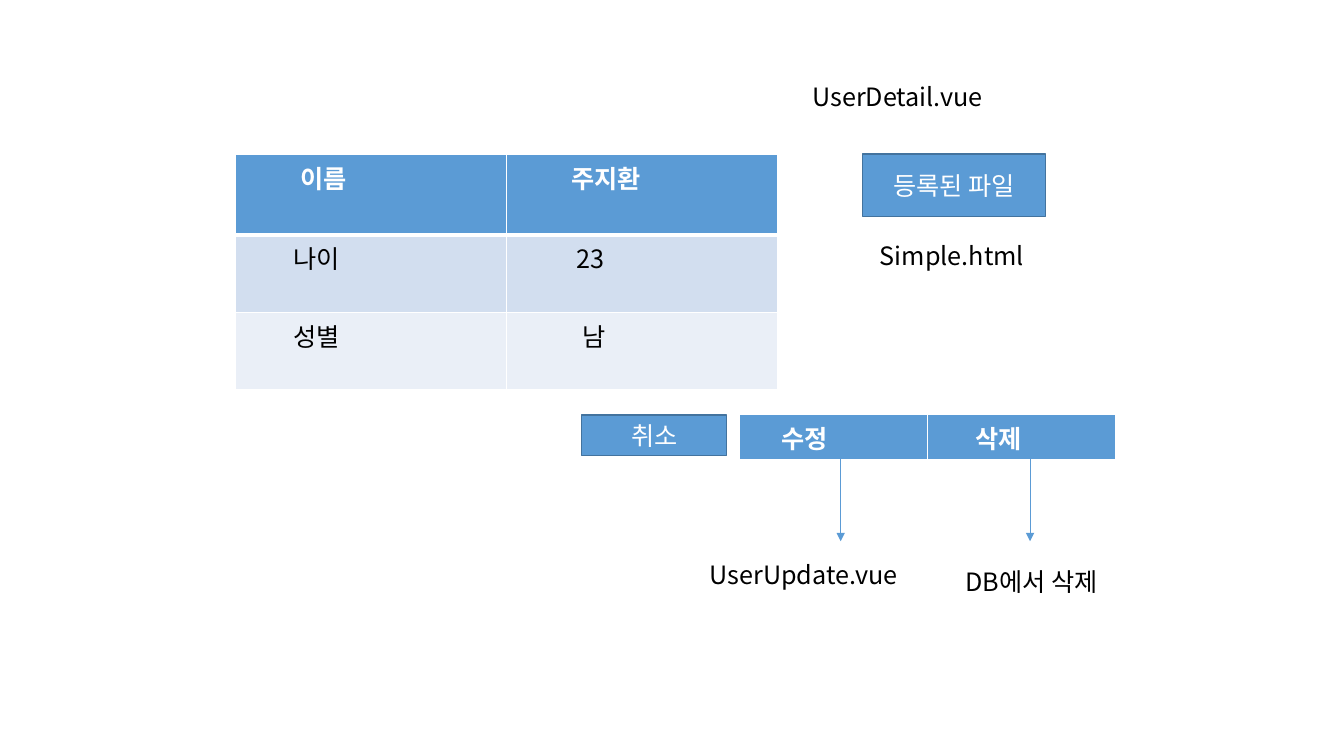
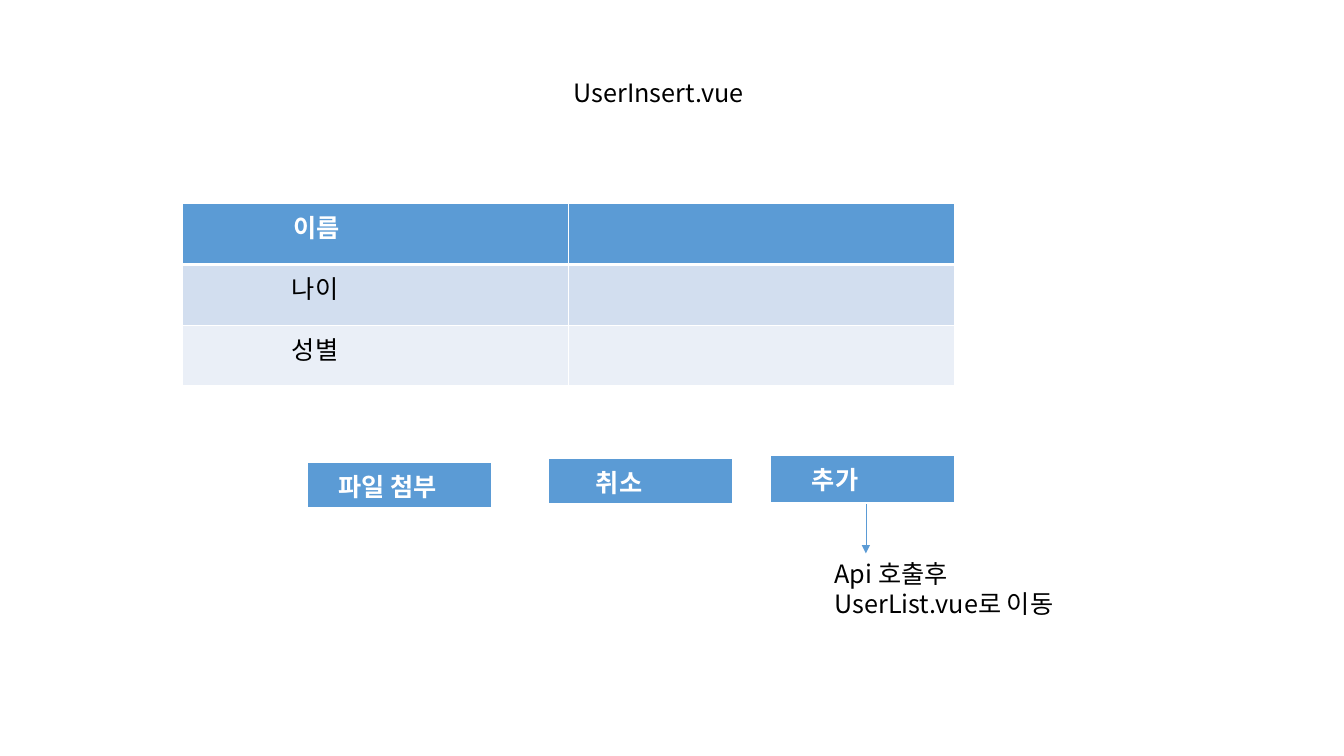
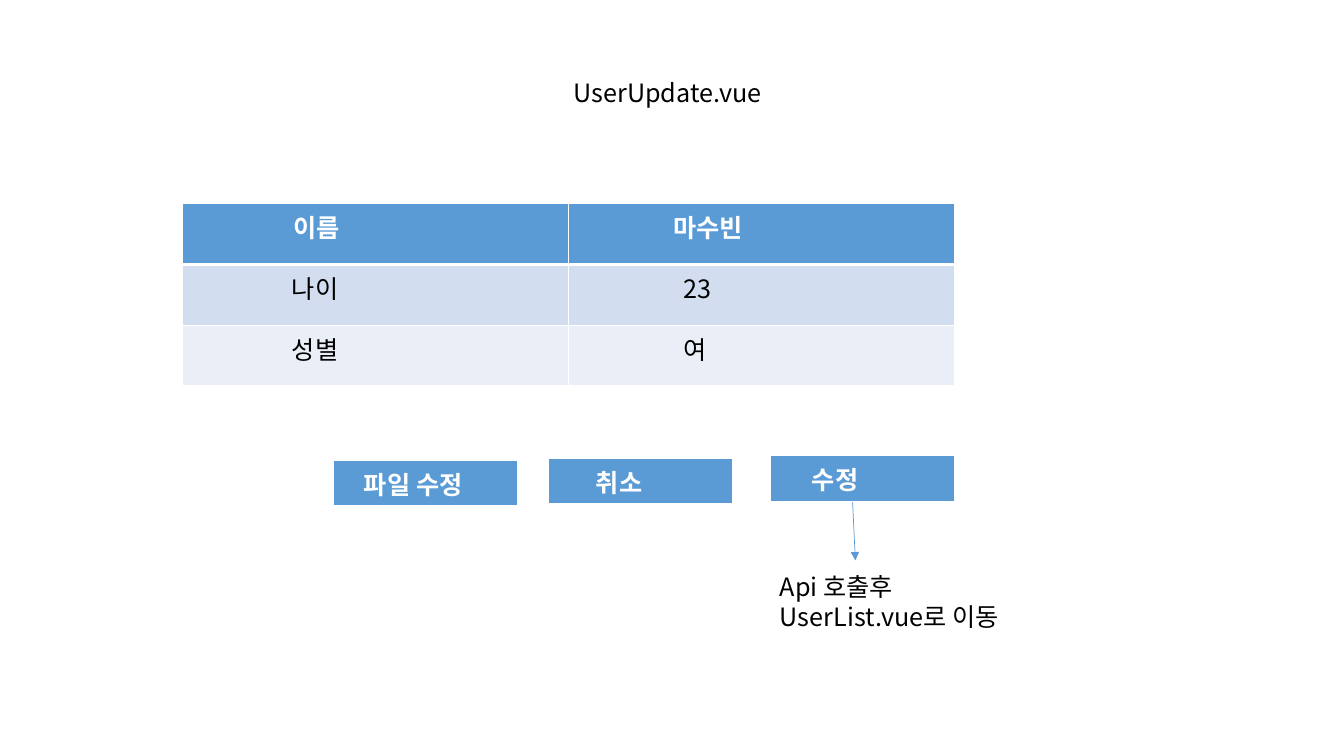
"""Build three wireframe slides for the user pages of a web app."""
from lxml.etree import SubElement as Sub
from pptx import Presentation
from pptx.dml.color import RGBColor
from pptx.enum.shapes import MSO_CONNECTOR as Link, MSO_SHAPE as Shape
from pptx.enum.text import MSO_ANCHOR as Anchor, MSO_AUTO_SIZE as Fit, PP_ALIGN as Align
from pptx.oxml.ns import qn
from pptx.util import Pt

hue = RGBColor.from_string
FONT = "Noto Sans CJK KR"
BLUE, EDGE, WHITE, BLACK = "5B9BD5", "43739E", "FFFFFF", "000000"
BANDS = [BLUE, "D2DEEF", "EAEFF7"]
MOVE = "Api 호출후 UserList.vue로 이동"
FORM = dict(at=(130.5, 145.5), wide=[275.5] * 2, high=[43.4] * 3)


def write(frame, text, color=BLACK, bold=False, align=Align.LEFT, anchor=Anchor.TOP):
    """Fill a text frame with one styled paragraph."""
    for key, val in dict(word_wrap=True, vertical_anchor=anchor).items():
        setattr(frame, key, val)
    para = frame.paragraphs[0]
    para.alignment = align
    run = para.add_run()
    run.text = text
    for key, val in dict(name=FONT, size=Pt(18), bold=bold).items():
        setattr(run.font, key, val)
    run.font.color.rgb = hue(color)
    Sub(run.font._element, qn("a:ea"), typeface=FONT)


def grid(slide, at, wide, high, rows):
    """Draw a banded table whose cells are pairs of text and left indent."""
    size = len(high), len(wide), *map(Pt, at), Pt(sum(wide)), Pt(sum(high))
    table = slide.shapes.add_table(*size).table
    table.horz_banding = False
    for col, width in zip(table.columns, wide):
        col.width = Pt(width)
    for r, (height, row) in enumerate(zip(high, rows)):
        table.rows[r].height = Pt(height)
        for c, (text, left) in enumerate(row):
            cell = table.cell(r, c)
            props = cell._tc.get_or_add_tcPr()
            thick = {"lnL": 1, "lnR": 1, "lnT": 3 if r == 1 else 1, "lnB": 1 if r else 3}
            for side, width in thick.items():
                line = Sub(props, qn("a:" + side), w=str(Pt(width)))
                Sub(Sub(line, qn("a:solidFill")), qn("a:srgbClr"), val=WHITE)
            cell.fill.solid()
            cell.fill.fore_color.rgb = hue(BANDS[r])
            cell.margin_left = Pt(left)
            if text:
                write(cell.text_frame, text, BLACK if r else WHITE, not r)


pages = [
    dict(
        title=("UserDetail.vue", 573, 54.7, 162.7),
        grids=[
            dict(at=(528, 296), wide=[134.6] * 2, high=[29.5],
                 rows=[[("수정", 30), ("삭제", 34)]]),
            dict(at=(168.5, 110), wide=[193.5] * 2, high=[57.6, 55.4, 55.4],
                 rows=[[("이름", 46), ("주지환", 46)],
                       [("나이", 41), ("23", 50)],
                       [("성별", 41), ("남", 54)]]),
        ],
        boxes=[("취소", 415.5, 296.6, 103.7, 28.8),
               ("등록된 파일", 616.3, 110, 130.5, 44.6)],
        lines=[(735.8, 325.4, 735.8, 386.6), (600.5, 325.4, 600.5, 386.6)],
        notes=[("DB에서 삭제", 682.5, 401, 162.7, 29),
               ("UserUpdate.vue", 499.7, 396, 162.7, 29),
               ("Simple.html", 621.4, 167.8, 124.6, 51)],
    ),
    dict(
        title=("UserInsert.vue", 402.5, 51.8, 299.5),
        grids=[
            dict(FORM, rows=[[("이름", 79), ("", 7.2)],
                             [("나이", 78), ("", 7.2)],
                             [("성별", 78), ("", 7.2)]]),
            dict(at=(550, 325.5), wide=[131.8], high=[34.5], rows=[[("추가", 30)]]),
            dict(at=(391.7, 327.6), wide=[131.8], high=[30], rows=[[("취소", 34)]]),
            dict(at=(219.6, 330), wide=[131.8], high=[30], rows=[[("파일 첨부", 22)]]),
        ],
        boxes=[],
        lines=[(618.5, 360, 618.5, 395.3)],
        notes=[(MOVE, 589, 395.3, 186.5, 51)],
    ),
    dict(
        title=("UserUpdate.vue", 402.5, 51.8, 299.5),
        grids=[
            dict(FORM, rows=[[("이름", 79), ("마수빈", 75)],
                             [("나이", 78), ("23", 82)],
                             [("성별", 78), ("여", 82)]]),
            dict(at=(550, 325.5), wide=[131.8], high=[33.5], rows=[[("수정", 30)]]),
            dict(at=(391.7, 327.6), wide=[131.8], high=[30], rows=[[("취소", 34)]]),
            dict(at=(238, 329), wide=[131.8], high=[30], rows=[[("파일 수정", 22)]]),
        ],
        boxes=[],
        lines=[(609, 358.6, 611, 400.3)],
        notes=[(MOVE, 550, 404.6, 186.5, 51)],
    ),
]

deck = Presentation()
deck.slide_width, deck.slide_height = Pt(960), Pt(540)
for page in pages:
    slide = deck.slides.add_slide(deck.slide_layouts[5])
    text, left, top, width = page["title"]
    title = slide.shapes.title
    for key, val in dict(left=left, top=top, width=width, height=29).items():
        setattr(title, key, Pt(val))
    title.text_frame.auto_size = Fit.NONE
    write(title.text_frame, text)
    for spec in page["grids"]:
        grid(slide, **spec)
    for text, *area in page["boxes"]:
        box = slide.shapes.add_shape(Shape.RECTANGLE, *map(Pt, area))
        box.shadow.inherit = False
        box.fill.solid()
        box.fill.fore_color.rgb = hue(BLUE)
        box.line.color.rgb = hue(EDGE)
        box.line.width = Pt(1)
        write(box.text_frame, text, WHITE, align=Align.CENTER, anchor=Anchor.MIDDLE)
    for ends in page["lines"]:
        arrow = slide.shapes.add_connector(Link.STRAIGHT, *map(Pt, ends))
        arrow.line.color.rgb = hue(BLUE)
        arrow.line.width = Pt(0.5)
        Sub(arrow.line._get_or_add_ln(), qn("a:tailEnd"), type="triangle")
        Sub(arrow._element.spPr, qn("a:effectLst"))
    for text, *area in page["notes"]:
        note = slide.shapes.add_textbox(*map(Pt, area))
        write(note.text_frame, text)
deck.save("out.pptx")
